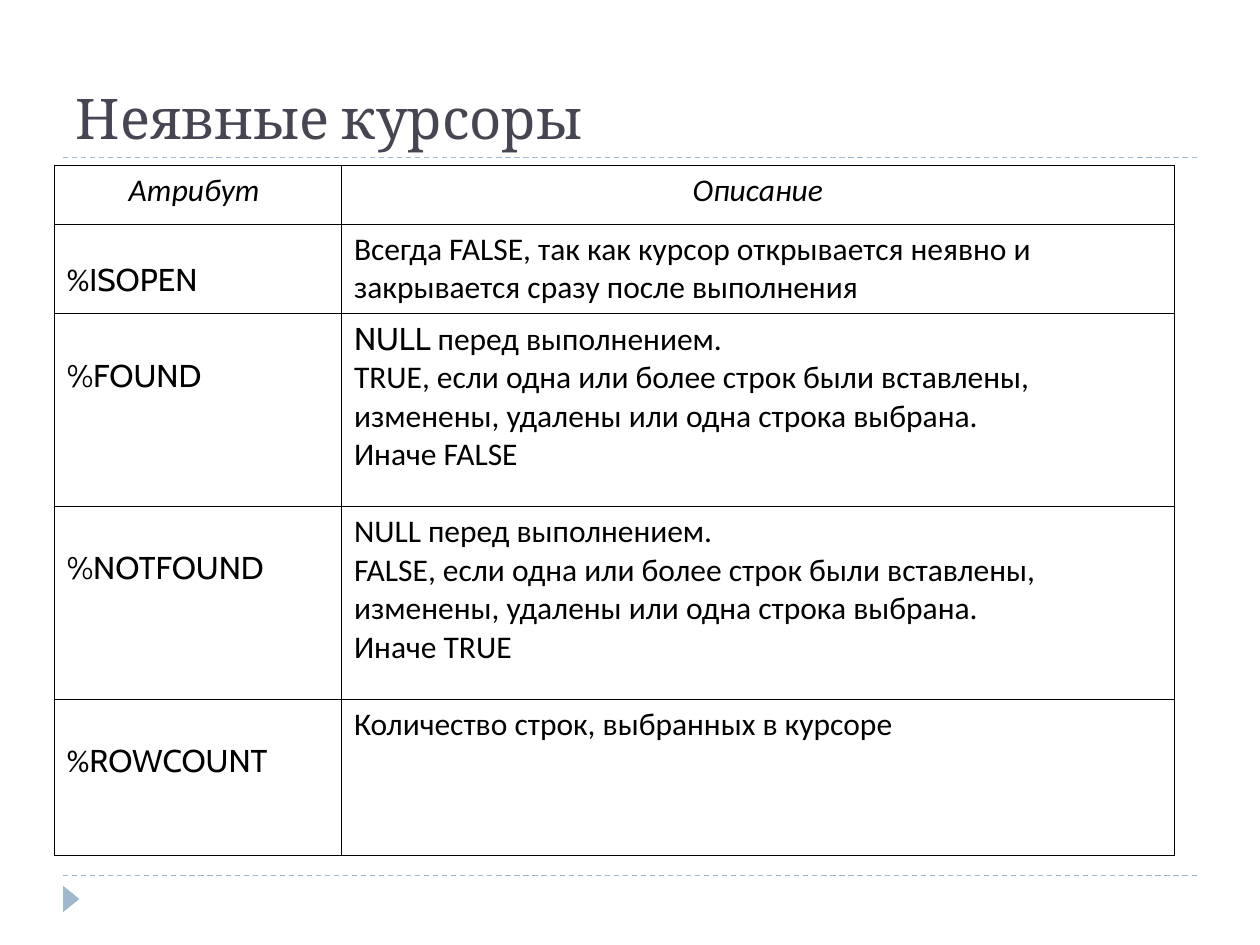
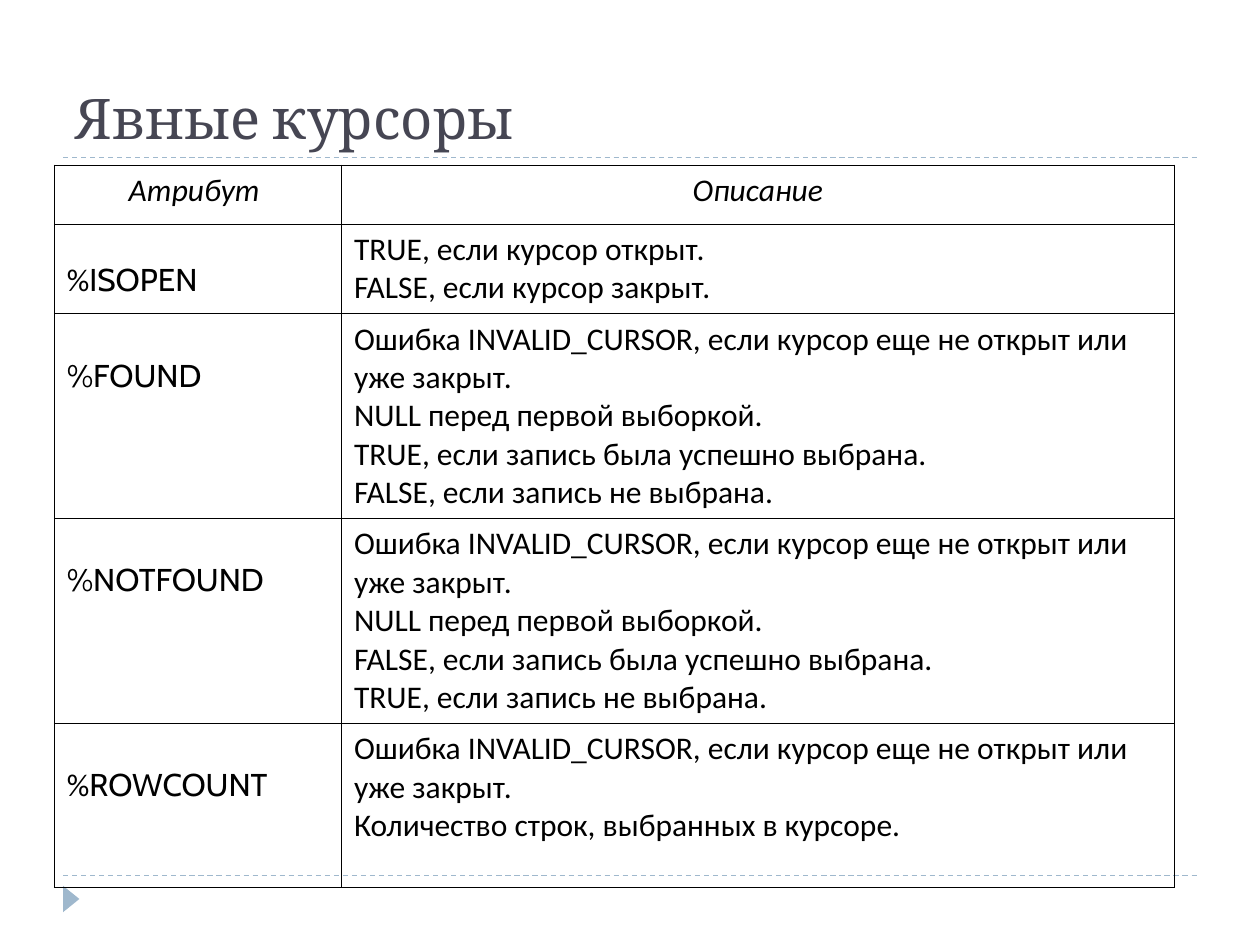
from dataclasses import dataclass

from lxml import etree
from pptx import Presentation
from pptx.dml.color import RGBColor
from pptx.enum.dml import MSO_LINE
from pptx.enum.shapes import MSO_CONNECTOR, MSO_SHAPE
from pptx.enum.text import MSO_ANCHOR, MSO_AUTO_SIZE, PP_ALIGN
from pptx.oxml.ns import qn
from pptx.util import Inches, Pt

STRAIGHT = MSO_CONNECTOR.STRAIGHT
TRIANGLE = MSO_SHAPE.ISOSCELES_TRIANGLE
DASH = MSO_LINE.DASH
LEFT, CENTER = PP_ALIGN.LEFT, PP_ALIGN.CENTER
BOTTOM = MSO_ANCHOR.BOTTOM
NO_AUTOFIT = MSO_AUTO_SIZE.NONE

GRID_COLUMNS, GRID_ROWS = 100, 75
TITLE_ONLY = 5


@dataclass(frozen=True)
class Theme:
    title_color: RGBColor = RGBColor(0x46, 0x46, 0x53)
    accent: RGBColor = RGBColor(0x9F, 0xB8, 0xCD)
    text_color: RGBColor = RGBColor(0, 0, 0)
    title_font: str = "Cambria"
    body_font: str = "Calibri"
    code_font: str = "Cabin"
    title_size: Pt = Pt(32)
    body_size: Pt = Pt(18)
    rule_width: Pt = Pt(0.75)
    border_width: Pt = Pt(0.45)


THEME = Theme()
BODY, CODE = THEME.body_font, THEME.code_font


def apply_format(target, values):
    for name, value in values.items():
        setattr(target, name, value)


class CursorDeck:
    """Holds the theme and the current slide; lengths are grid columns and rows."""

    def __init__(self, theme):
        self.theme = theme
        self.prs = Presentation()
        apply_format(self.prs, {"slide_width": Inches(10), "slide_height": Inches(7.5)})
        self.slide = None

    def x(self, columns):
        return round(self.prs.slide_width * columns / GRID_COLUMNS)

    def y(self, rows):
        return round(self.prs.slide_height * rows / GRID_ROWS)

    def start_slide(self, title):
        self.slide = self.prs.slides.add_slide(self.prs.slide_layouts[TITLE_ONLY])
        self.title(title)
        for row in (69.5, 12.5):
            self.dashed_rule(row)
        self.page_marker()

    def title(self, text):
        heading = self.slide.shapes.title
        apply_format(heading, {"left": self.x(5), "top": self.y(1.7),
                               "width": self.x(90), "height": self.y(10.8)})
        apply_format(heading.text_frame, {"vertical_anchor": BOTTOM, "word_wrap": True,
                                          "auto_size": NO_AUTOFIT})
        paragraph = heading.text_frame.paragraphs[0]
        paragraph.alignment = LEFT
        self.run(paragraph, text, self.theme.title_font,
                 size=self.theme.title_size, color=self.theme.title_color)

    def dashed_rule(self, row):
        rule = self.slide.shapes.add_connector(
            STRAIGHT, self.x(5), self.y(row), self.x(95), self.y(row))
        rule.line.color.rgb = self.theme.accent
        apply_format(rule.line, {"width": self.theme.rule_width, "dash_style": DASH})
        etree.SubElement(rule._element.spPr, qn("a:effectLst"))

    def page_marker(self):
        marker = self.slide.shapes.add_shape(
            TRIANGLE, self.x(4.6), self.y(70.7), self.x(2.1), self.y(1.3))
        marker.rotation = 90
        marker.shadow.inherit = False
        marker.fill.solid()
        marker.fill.fore_color.rgb = self.theme.accent
        marker.line.fill.background()

    def run(self, paragraph, text, font, size=None, color=None, italic=False):
        piece = paragraph.add_run()
        piece.text = text
        apply_format(piece.font, {"name": font, "size": size or self.theme.body_size,
                                  "italic": italic, "bold": False})
        piece.font.color.rgb = color or self.theme.text_color

    def border(self, cell):
        properties = cell._tc.get_or_add_tcPr()
        for position, side in enumerate(("lnL", "lnR", "lnT", "lnB")):
            line = etree.Element(qn(f"a:{side}"), w=str(int(self.theme.border_width)))
            fill = etree.SubElement(line, qn("a:solidFill"))
            etree.SubElement(fill, qn("a:srgbClr"), val=str(self.theme.text_color))
            properties.insert(position, line)

    def cell(self, cell, paragraphs, alignment=LEFT, italic=False, drop=0.5):
        """Fill a cell with paragraphs of (text, font) runs, drop rows below its top."""
        cell.fill.background()
        self.border(cell)
        cell.margin_top = self.y(drop)
        frame = cell.text_frame
        for index, runs in enumerate(paragraphs):
            paragraph = frame.add_paragraph() if index else frame.paragraphs[0]
            paragraph.alignment = alignment
            for text, font in runs:
                self.run(paragraph, text, font, italic=italic)

    def attribute_table(self, row_heights, descriptions):
        widths = (22.8, 66.1)
        table = self.slide.shapes.add_table(
            len(row_heights), len(widths), self.x(4.3), self.y(13.1),
            self.x(sum(widths)), self.y(sum(row_heights))).table
        apply_format(table, {"first_row": False, "horz_banding": False})
        for column, width in zip(table.columns, widths):
            column.width = self.x(width)
        for row, height in zip(table.rows, row_heights):
            row.height = self.y(height)
        for column, heading in enumerate(HEADINGS):
            self.cell(table.cell(0, column), [[(heading, BODY)]], CENTER, italic=True)
        for row, ((name, drop), lines) in enumerate(zip(ATTRIBUTES, descriptions), 1):
            self.cell(table.cell(row, 0), [name], drop=drop)
            self.cell(table.cell(row, 1), [
                [(line, BODY)] if isinstance(line, str) else line for line in lines])


HEADINGS = ("Атрибут ", "Описание")
ATTRIBUTES = (
    ([("%", BODY), ("ISOPEN", CODE)], 2.9),
    ([("%FOUND", CODE)], 3.4),
    ([("%NOTFOUND", CODE)], 3.4),
    ([("%", BODY), ("ROWCOUNT", CODE)], 3.4),
)
ROWS_CHANGED = ("если одна или более строк были вставлены, "
                "изменены, удалены или одна строка выбрана.")
INVALID = "Ошибка INVALID_CURSOR, если курсор еще не открыт или уже закрыт."
BEFORE_FETCH = "NULL перед первой выборкой."
FETCHED = "если запись была успешно выбрана."
NOT_FETCHED = "если запись не выбрана."

SLIDES = (
    ("Неявные курсоры", (4.7, 7, 15.3, 15.3, 12.4), (
        ["Всегда FALSE, так как курсор открывается неявно и "
         "закрывается сразу после выполнения"],
        [[("NULL ", CODE), ("перед выполнением.", BODY)],
         f"TRUE, {ROWS_CHANGED}", "Иначе FALSE"],
        ["NULL перед выполнением.", f"FALSE, {ROWS_CHANGED}", "Иначе TRUE"],
        ["Количество строк, выбранных в курсоре"],
    )),
    ("Явные курсоры", (4.7, 7, 16, 16, 13), (
        ["TRUE, если курсор открыт.", "FALSE, если курсор закрыт."],
        [INVALID, BEFORE_FETCH, f"TRUE, {FETCHED}", f"FALSE, {NOT_FETCHED}"],
        [INVALID, BEFORE_FETCH, f"FALSE, {FETCHED}", f"TRUE, {NOT_FETCHED}"],
        [INVALID, "Количество строк, выбранных в курсоре."],
    )),
)


def main():
    deck = CursorDeck(THEME)
    for title, row_heights, descriptions in SLIDES:
        deck.start_slide(title)
        deck.attribute_table(row_heights, descriptions)
    deck.prs.save("out.pptx")


if __name__ == "__main__":
    main()
